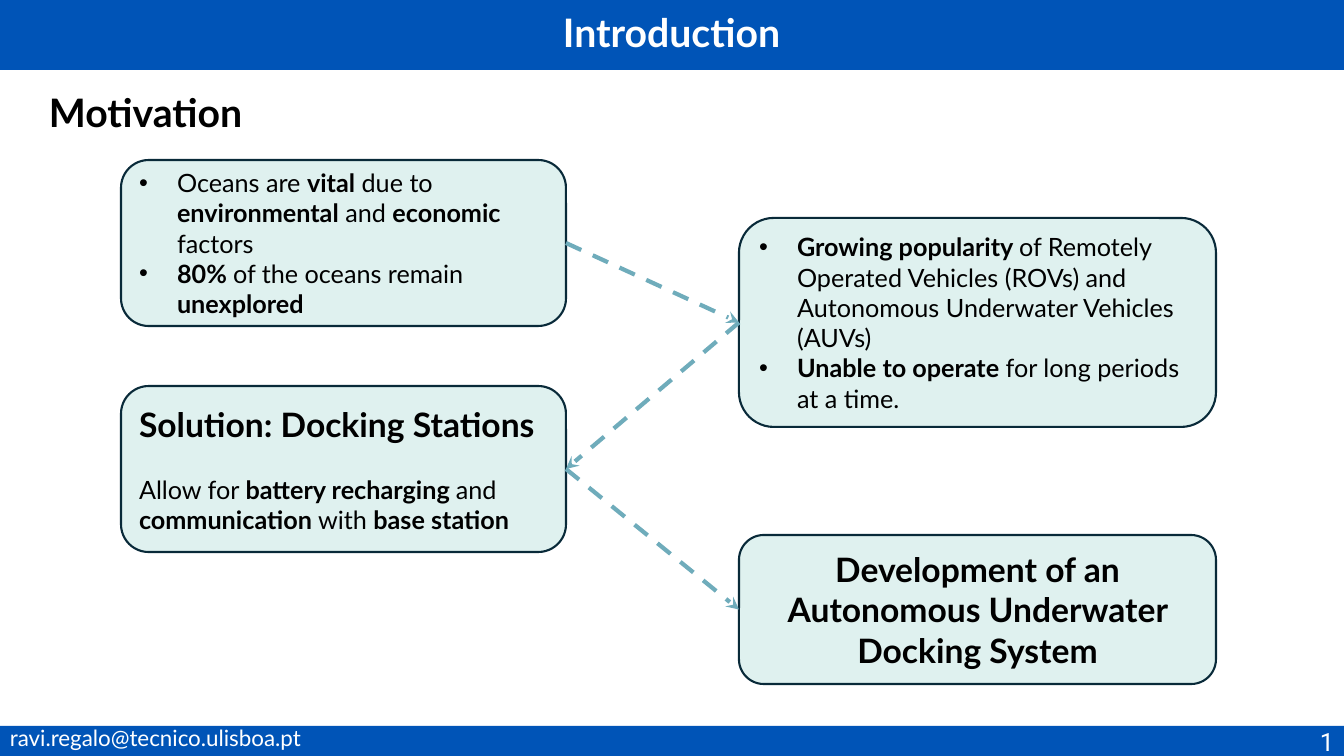
from lxml import etree
from pptx import Presentation
from pptx.dml.color import RGBColor
from pptx.enum.dml import MSO_LINE
from pptx.enum.shapes import MSO_CONNECTOR, MSO_SHAPE
from pptx.enum.text import MSO_ANCHOR, PP_ALIGN
from pptx.oxml.ns import qn
from pptx.util import Pt

EMU_PER_PX = 914400 / 100.8
SLIDE_WIDTH, SLIDE_HEIGHT = 1344, 756

BLUE = RGBColor(0x00, 0x54, 0xB7)
WHITE = RGBColor(0xFF, 0xFF, 0xFF)
BLACK = RGBColor(0x00, 0x00, 0x00)
MINT = RGBColor(0xDF, 0xF1, 0xEF)
NAVY = RGBColor(0x09, 0x2A, 0x39)
TEAL = RGBColor(0x6F, 0xAC, 0xBB)

LEFT, CENTER = PP_ALIGN.LEFT, PP_ALIGN.CENTER
MIDDLE = MSO_ANCHOR.MIDDLE
RECTANGLE, ROUNDED = MSO_SHAPE.RECTANGLE, MSO_SHAPE.ROUNDED_RECTANGLE
STRAIGHT, DASH = MSO_CONNECTOR.STRAIGHT, MSO_LINE.DASH
LEFT_SIDE, RIGHT_SIDE = 1, 3
BULLET_INDENT = 38


def px(length):
    return round(length * EMU_PER_PX)


def add_bullet(paragraph):
    properties = paragraph._p.get_or_add_pPr()
    properties.set("marL", str(px(BULLET_INDENT)))
    properties.set("indent", str(-px(BULLET_INDENT)))
    etree.SubElement(properties, qn("a:buFont")).set("typeface", "Arial")
    etree.SubElement(properties, qn("a:buChar")).set("char", "•")


def add_text(frame, text, size=18, color=BLACK, font="Lato", align=LEFT,
             bullet=False, space_before=None):
    """Append a paragraph; text between ** marks is bold."""
    paragraph = frame.paragraphs[0]
    if paragraph.runs:
        paragraph = frame.add_paragraph()
    paragraph.alignment = align
    if space_before is not None:
        paragraph.space_before = Pt(space_before)
    if bullet:
        add_bullet(paragraph)
    for index, part in enumerate(text.split("**")):
        if part:
            run = paragraph.add_run()
            run.text = part
            run.font.name = font
            run.font.size = Pt(size)
            run.font.bold = index % 2 == 1
            run.font.color.rgb = color


def add_label(slide, box, text, wrap=True, **text_format):
    shape = slide.shapes.add_textbox(*map(px, box))
    shape.text_frame.word_wrap = wrap
    add_text(shape.text_frame, text, **text_format)


def add_box(slide, kind, box, fill, line=None):
    shape = slide.shapes.add_shape(kind, *map(px, box))
    shape.shadow.inherit = False
    shape.fill.solid()
    shape.fill.fore_color.rgb = fill
    if line is None:
        shape.line.fill.background()
    else:
        shape.line.color.rgb = line
        shape.line.width = Pt(1.5)
    return shape


def add_card(slide, box, paragraphs):
    card = add_box(slide, ROUNDED, box, MINT, NAVY)
    frame = card.text_frame
    frame.word_wrap = True
    frame.vertical_anchor = MIDDLE
    for text, text_format in paragraphs:
        add_text(frame, text, **text_format)
    return card


def add_arrow(slide, start, start_side, end, end_side):
    arrow = slide.shapes.add_connector(STRAIGHT, 0, 0, 0, 0)
    arrow.begin_connect(start, start_side)
    arrow.end_connect(end, end_side)
    arrow.line.color.rgb = TEAL
    arrow.line.width = Pt(3)
    arrow.line.dash_style = DASH
    etree.SubElement(arrow.line._get_or_add_ln(), qn("a:tailEnd")).set("type", "stealth")
    etree.SubElement(arrow._element.spPr, qn("a:effectLst"))


def build_header(slide, box):
    left, top, width, height = box
    add_box(slide, RECTANGLE, box, BLUE)
    title_width = 407
    title_left = left + (width - title_width) // 2
    add_label(slide, (title_left, top + 3, title_width, 57), "**Introduction**",
              size=28, color=WHITE, align=CENTER)


def build_footer(slide, box):
    left, top, width, height = box
    add_box(slide, RECTANGLE, box, BLUE)
    add_label(slide, (left + width - 34, top - 5, 34, 40), "1", wrap=False,
              color=WHITE, font="Roboto")
    add_label(slide, (left, top - 7, 394, 37), "ravi.regalo@tecnico.ulisboa.pt",
              size=16, color=WHITE)


def build_motivation(slide, box):
    left, top, width, height = box
    add_label(slide, (left, top, 660, 57), "**Motivation**", size=28)

    # Cards in two columns, read in a zigzag
    left_column, left_width = left + 82, 445
    right_column, right_width = left + 700, 477
    bullet = {"bullet": True}
    heading = {"size": 24}
    oceans = add_card(slide, (left_column, top + 77, left_width, 166), [
        ("Oceans are **vital** due to **environmental** and **economic** factors", bullet),
        ("**80% **of the oceans remain **unexplored**", bullet),
    ])
    vehicles = add_card(slide, (right_column, top + 135, right_width, 209), [
        ("**Growing popularity **of Remotely Operated Vehicles (ROVs) and "
         "Autonomous Underwater Vehicles (AUVs)", bullet),
        ("**Unable to operate** for long periods at a time.", bullet),
    ])
    solution = add_card(slide, (left_column, top + 303, left_width, 166), [
        ("**Solution: Docking Stations**", heading),
        ("Allow for **battery recharging **and **communication** with **base station**",
         {"space_before": 21.6}),
    ])
    development = add_card(slide, (right_column, top + 452, right_width, 149), [
        ("**Development of an Autonomous Underwater Docking System**",
         {**heading, "align": CENTER}),
    ])

    # Arrows from card to card
    add_arrow(slide, oceans, RIGHT_SIDE, vehicles, LEFT_SIDE)
    add_arrow(slide, vehicles, LEFT_SIDE, solution, RIGHT_SIDE)
    add_arrow(slide, solution, RIGHT_SIDE, development, LEFT_SIDE)


def main():
    presentation = Presentation()
    presentation.slide_width = px(SLIDE_WIDTH)
    presentation.slide_height = px(SLIDE_HEIGHT)
    slide = presentation.slides.add_slide(presentation.slide_layouts[6])
    build_header(slide, (0, 0, SLIDE_WIDTH, 70))
    build_footer(slide, (0, 726, SLIDE_WIDTH, 30))
    build_motivation(slide, (39, 83, 1177, 601))
    presentation.save("out.pptx")


if __name__ == "__main__":
    main()
